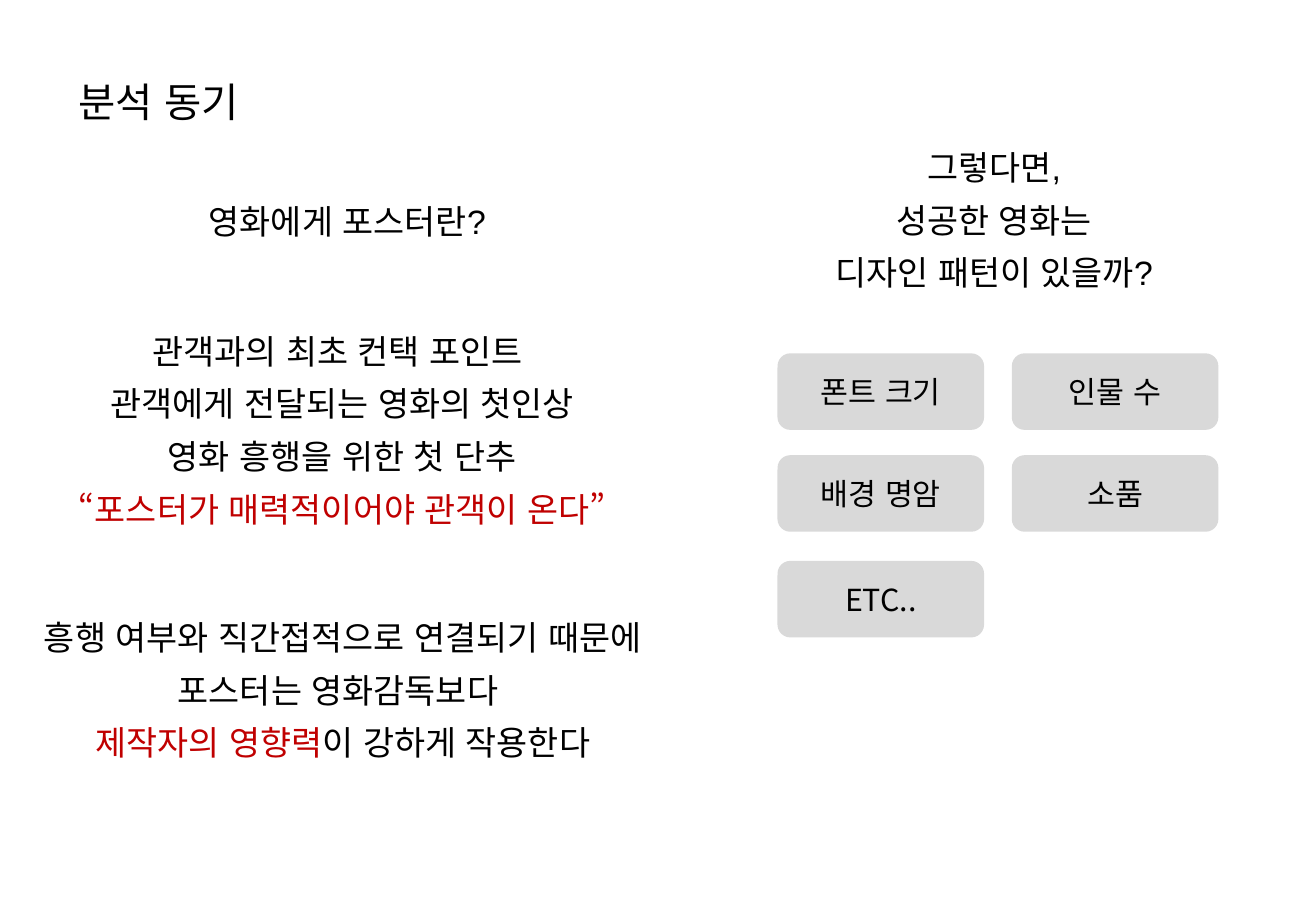
from lxml.etree import SubElement
from pptx import Presentation
from pptx.dml.color import RGBColor
from pptx.enum.shapes import MSO_SHAPE as Shape
from pptx.enum.text import MSO_ANCHOR as Anchor, MSO_AUTO_SIZE as AutoSize, PP_ALIGN as Align
from pptx.oxml.ns import qn
from pptx.util import Cm, Pt

BLACK = RGBColor(0x00, 0x00, 0x00)
RED = RGBColor(0xC0, 0x00, 0x00)
GRAY = RGBColor(0xD9, 0xD9, 0xD9)
LATIN_FONT = "Arial"
KOREAN_FONT = "Noto Sans CJK KR"


def add_run(paragraph, text, size, font_name=LATIN_FONT, color=BLACK):
    run = paragraph.add_run()
    run.text = text
    run.font.size = Pt(size)
    run.font.bold = False
    run.font.name = font_name
    run.font.color.rgb = color
    properties = run.font._element
    properties.set("lang", "ko-KR")
    SubElement(properties, qn("a:ea")).set("typeface", KOREAN_FONT)


def write_lines(shape, box, lines, size=20):
    """Place a shape and fill it with centred lines, each a list of (text, font, color)."""
    shape.left, shape.top, shape.width, shape.height = (Cm(length) for length in box)
    frame = shape.text_frame
    frame.word_wrap = False
    frame.auto_size = AutoSize.SHAPE_TO_FIT_TEXT
    frame.vertical_anchor = Anchor.TOP
    for index, line in enumerate(lines):
        paragraph = frame.add_paragraph() if index else frame.paragraphs[0]
        paragraph.alignment = Align.CENTER
        paragraph.line_spacing = 1.3
        paragraph.space_before = Pt(0)
        for text, *style in line:
            add_run(paragraph, text, size, *style)


def add_text(slide, box, lines):
    write_lines(slide.shapes.add_textbox(0, 0, 0, 0), box, lines)


def add_poster_role(slide, left, top):
    add_text(slide, (left + 3.51, top, 6.45, 1.3),
             [[("영화에게", KOREAN_FONT), (" 포스터란?",)]])
    add_text(slide, (left + 0.38, top + 2.72, 12.5, 4.7), [
        [("관객과의 최초 컨택 포인트 ", KOREAN_FONT)],
        [("관객에게 전달되는 영화의 첫인상", KOREAN_FONT)],
        [("영화 흥행을 위한 첫 단추", KOREAN_FONT)],
        [("“포스터가 매력적이어야 관객이 온다”", LATIN_FONT, RED)],
    ])
    add_text(slide, (left, top + 8.71, 13.28, 3.58), [
        [("흥행 여부와 직간접적으로 연결되기 때문에",)],
        [("포스터는 영화감독보다 ",)],
        [("제작자의 영향력", LATIN_FONT, RED), ("이 강하게 작용한다",)],
    ])


def add_design_factors(slide, left, top):
    column_step, row_offsets = 4.9, (0, 2.13, 4.34)
    factors = ("폰트 크기", "인물 수", "배경 명암", "소품", "ETC..")
    for index, factor in enumerate(factors):
        row, column = divmod(index, 2)
        button = slide.shapes.add_shape(
            Shape.ROUNDED_RECTANGLE, Cm(left + column * column_step),
            Cm(top + row_offsets[row]), Cm(4.32), Cm(1.6))
        button.shadow.inherit = False
        button.fill.solid()
        button.fill.fore_color.rgb = GRAY
        button.line.fill.background()
        button.text_frame.vertical_anchor = Anchor.MIDDLE
        paragraph = button.text_frame.paragraphs[0]
        paragraph.alignment = Align.CENTER
        add_run(paragraph, factor, 18, KOREAN_FONT)


def add_motivation_slide(presentation):
    slide = presentation.slides.add_slide(presentation.slide_layouts[5])
    write_lines(slide.shapes.title, (1.3, 1.17, 4.27, 1.52), [[("분석 동기 ",)]], 24)
    add_poster_role(slide, 0.53, 3.81)
    add_text(slide, (17.12, 2.69, 7.34, 3.53),
             [[("그렇다면,",)], [("성공한 영화는",)], [("디자인 패턴이 있을까?",)]])
    add_design_factors(slide, 16.26, 7.39)


def main():
    presentation = Presentation()
    presentation.slide_width = Cm(27.52)
    presentation.slide_height = Cm(19.05)
    add_motivation_slide(presentation)
    presentation.save("out.pptx")


if __name__ == "__main__":
    main()
